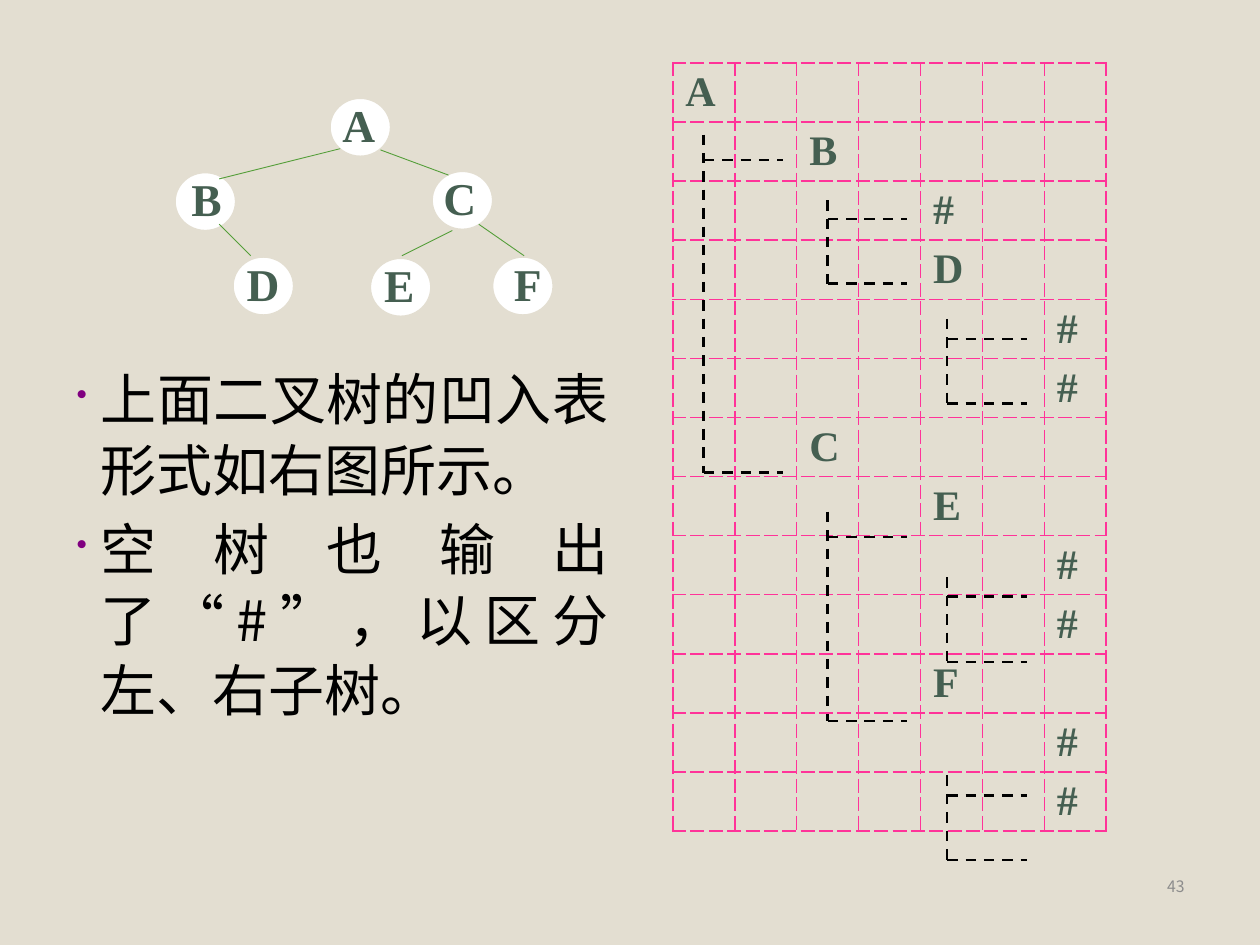
from typing import NamedTuple

from lxml.etree import SubElement as Sub
from pptx import Presentation
from pptx.dml.color import RGBColor
from pptx.enum.dml import MSO_LINE as Dash
from pptx.enum.shapes import MSO_CONNECTOR as Conn, MSO_SHAPE as Shape
from pptx.enum.text import MSO_ANCHOR as Anchor, PP_ALIGN as Align
from pptx.oxml.ns import qn
from pptx.util import Inches, Pt

WIDE, HIGH = 10, 7.5
LEFT, TOP = 5.34, 0.5
COLS, ROWS = 7, 13
COL, ROW = 3.44 / COLS, 6.1 / ROWS
ARM = 0.63
SAND, GREEN, PINK = "E3DED1", "455F51", "FF3399"
SERIF, SANS = "Times New Roman", "Noto Sans CJK SC"


class Node(NamedTuple):
    name: str
    x: float
    y: float
    nudge: float


class Edge(NamedTuple):
    x1: float
    y1: float
    x2: float
    y2: float


class Entry(NamedTuple):
    name: str
    col: int


class Fork(NamedTuple):
    col: float
    top: float
    first: float
    last: float


NODES = [
    Node("A", 2.61, 0.77, 0.01),
    Node("B", 1.38, 1.36, 0.04),
    Node("C", 3.42, 1.35, 0),
    Node("D", 1.84, 2.03, 0.02),
    Node("E", 2.93, 2.04, 0.02),
    Node("F", 3.9, 2.03, 0.08),
]
EDGES = [
    Edge(2.7, 1.18, 1.74, 1.42),
    Edge(3.02, 1.19, 3.56, 1.39),
    Edge(1.74, 1.78, 1.99, 2.03),
    Edge(3.59, 1.83, 3.19, 2.03),
    Edge(3.8, 1.78, 4.16, 2.03),
]
ENTRIES = [
    Entry("A", 0), Entry("B", 2), Entry("#", 4), Entry("D", 4),
    Entry("#", 6), Entry("#", 6), Entry("C", 2), Entry("E", 4),
    Entry("#", 6), Entry("#", 6), Entry("F", 4), Entry("#", 6),
    Entry("#", 6),
]
FORKS = [
    Fork(0.5, 1.21, 1.64, 6.93),
    Fork(2.5, 2.32, 2.64, 3.73),
    Fork(4.43, 4.33, 4.67, 5.76),
    Fork(4.43, 8.7, 9.02, 10.13),
    Fork(4.43, 12.05, 12.39, 13.48),
    Fork(2.5, 7.59, 8.02, 11.13),
]
NOTES = [
    "上面二叉树的凹入表形式如右图所示。",
    "空树也输出了“#”，以区分左、右子树。",
]


def color(code: str) -> RGBColor:
    return RGBColor.from_string(code)


def style(para, face: str, size: float, code: str, bold: bool = False) -> None:
    font = para.font
    font.name, font.size, font.bold = face, Pt(size), bold
    font.color.rgb = color(code)
    Sub(para._p.pPr.find(qn("a:defRPr")), qn("a:ea"), typeface=face)


def box(slide, x: float, y: float, w: float, h: float):
    frame = slide.shapes.add_textbox(*map(Inches, (x, y, w, h))).text_frame
    frame.word_wrap = True
    return frame


def link(slide, edge: Edge, code: str, width: float, dash=None) -> None:
    line = slide.shapes.add_connector(Conn.STRAIGHT, *map(Inches, edge))
    line.line.color.rgb = color(code)
    line.line.width = Pt(width)
    if dash:
        line.line.dash_style = dash
    Sub(line._element.spPr, qn("a:effectLst"))


def border(cell) -> None:
    props = cell._tc.get_or_add_tcPr()
    for spot, side in enumerate(("lnL", "lnR", "lnT", "lnB")):
        line = props.makeelement(qn(f"a:{side}"), {"w": str(Pt(1))})
        fill = Sub(line, qn("a:solidFill"))
        Sub(fill, qn("a:srgbClr"), val=PINK)
        Sub(line, qn("a:prstDash"), val="dash")
        props.insert(spot, line)


def draw_grid(slide) -> None:
    size = map(Inches, (LEFT, TOP, COL * COLS, ROW * ROWS))
    grid = slide.shapes.add_table(ROWS, COLS, *size).table
    grid.first_row = grid.horz_banding = False
    for col in grid.columns:
        col.width = Inches(COL)
    for row in grid.rows:
        row.height = Inches(ROW)
    for cell in grid.iter_cells():
        cell.margin_top = cell.margin_bottom = 0
        cell.fill.background()
        border(cell)
    for row, entry in enumerate(ENTRIES):
        cell = grid.cell(row, entry.col)
        cell.margin_top = Inches(0.05)
        para = cell.text_frame.paragraphs[0]
        para.text = entry.name
        style(para, SERIF, 24, GREEN, True)


def draw_notes(slide) -> None:
    frame = box(slide, 0.51, 2.82, 4.42, 4.28)
    for spot, note in enumerate(NOTES):
        para = frame.add_paragraph() if spot else frame.paragraphs[0]
        para.text = note
        para.alignment = Align.JUSTIFY
        para.line_spacing = 1.05
        para.space_before = Pt(5 * spot)
        props = para._p.get_or_add_pPr()
        props.set("marL", str(Inches(0.19)))
        props.set("indent", str(Inches(-0.19)))
        props.set("hangingPunct", "0")
        Sub(Sub(props, qn("a:buClr")), qn("a:srgbClr"), val="800080")
        Sub(props, qn("a:buSzPct"), val="55000")
        Sub(props, qn("a:buChar"), char="•")
        style(para, SANS, 32, "000000")


def draw_node(slide, node: Node) -> None:
    size = map(Inches, (node.x, node.y, 0.5, 0.48))
    disc = slide.shapes.add_shape(Shape.OVAL, *size)
    disc.shadow.inherit = False
    disc.fill.solid()
    disc.fill.fore_color.rgb = color("FFFFFF")
    disc.line.color.rgb = color(SAND)
    disc.line.width = Pt(2.25)
    para = box(slide, node.x + node.nudge, node.y - 0.05, 0.8, 0.63).paragraphs[0]
    para.text = node.name
    para.alignment = Align.JUSTIFY
    style(para, SERIF, 26, GREEN, True)


def draw_fork(slide, fork: Fork) -> None:
    x = LEFT + fork.col * COL
    top, first, last = (TOP + n * ROW for n in fork[1:])
    for edge in (
        Edge(x, top, x, last),
        Edge(x, first, x + ARM, first),
        Edge(x, last, x + ARM, last),
    ):
        link(slide, edge, "000000", 1.5, Dash.DASH)


def main() -> None:
    deck = Presentation()
    deck.slide_width, deck.slide_height = Inches(WIDE), Inches(HIGH)
    slide = deck.slides.add_slide(deck.slide_layouts[6])
    back = slide.background.fill
    back.solid()
    back.fore_color.rgb = color(SAND)
    frame = box(slide, 7.17, 6.78, 2.33, 0.5)
    frame.vertical_anchor = Anchor.MIDDLE
    para = frame.paragraphs[0]
    para.text = "43"
    para.alignment = Align.RIGHT
    style(para, SANS, 9, "8C8C8C")
    draw_grid(slide)
    draw_notes(slide)
    for node in NODES:
        draw_node(slide, node)
    for fork in FORKS:
        draw_fork(slide, fork)
    for edge in EDGES:
        link(slide, edge, "549E39", 0.5)
    deck.save("out.pptx")


if __name__ == "__main__":
    main()
